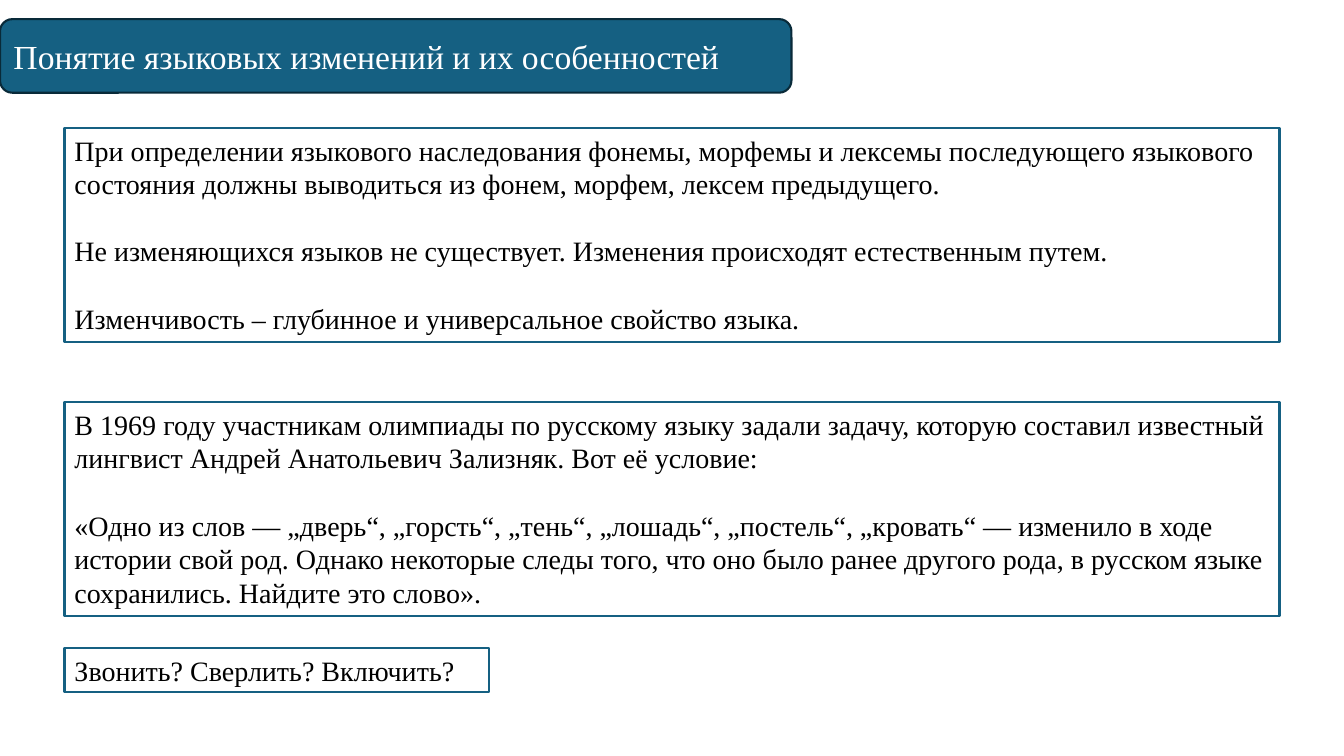
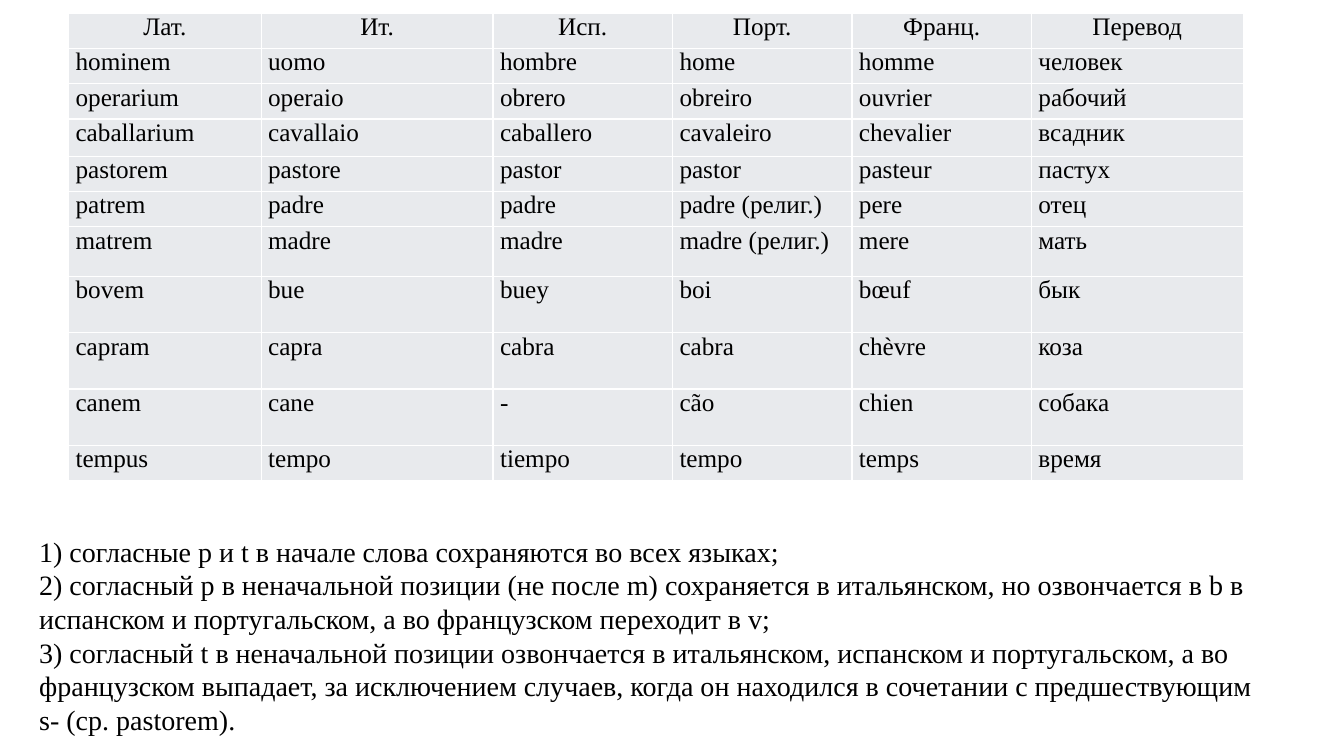
from pptx import Presentation
from pptx.dml.color import RGBColor
from pptx.enum.shapes import MSO_SHAPE as Preset
from pptx.enum.text import MSO_ANCHOR as Anchor, PP_ALIGN as Align
from pptx.util import Pt

PX = 9144  # EMU in one px, 100 px to the inch
FONT = "Times New Roman"
BLACK = RGBColor(0x00, 0x00, 0x00)
WHITE = RGBColor(0xFF, 0xFF, 0xFF)
TEAL = RGBColor(0x15, 0x60, 0x82)
NAVY = RGBColor(0x09, 0x2A, 0x39)
PALE_GREY = RGBColor(0xE8, 0xEA, 0xED)


def write(frame, paragraphs, size=20, color=BLACK, align=Align.LEFT, gap=0):
    """Fill a text frame, leaving gap points between the paragraphs."""
    frame.word_wrap = True
    for index, text in enumerate(paragraphs):
        paragraph = frame.paragraphs[0] if index == 0 else frame.add_paragraph()
        paragraph.text = text
        paragraph.alignment = align
        if index and gap:
            paragraph.space_before = Pt(gap)
        for key, value in {"name": FONT, "size": Pt(size)}.items():
            setattr(paragraph.font, key, value)
        paragraph.font.color.rgb = color


def add_panel(slide, preset, box, fill, outline, anchor):
    """Add an outlined panel and return its text frame."""
    panel = slide.shapes.add_shape(preset, *(length * PX for length in box))
    panel.shadow.inherit = False
    panel.fill.solid()
    panel.fill.fore_color.rgb = fill
    panel.line.color.rgb = outline
    panel.line.width = Pt(1.5)
    panel.text_frame.vertical_anchor = anchor
    return panel.text_frame


deck = Presentation()
deck.slide_width, deck.slide_height = 1333 * PX, 750 * PX
blank = deck.slide_layouts[6]

# Slide 1: language change
change_slide = deck.slides.add_slide(blank)
heading = add_panel(change_slide, Preset.ROUNDED_RECTANGLE, (0, 19, 785, 73),
                    TEAL, NAVY, Anchor.MIDDLE)
write(heading, ["Понятие языковых изменений и их особенностей"], 24, WHITE)

PANEL_LEFT = 64
statements = [
    (127, 1205, 212, [
        "При определении языкового наследования фонемы, морфемы и лексемы "
        "последующего языкового состояния должны выводиться из фонем, морфем, "
        "лексем предыдущего.",
        "Не изменяющихся языков не существует. Изменения происходят "
        "естественным путем.",
        "Изменчивость – глубинное и универсальное свойство языка.",
    ]),
    (399, 1205, 212, [
        "В 1969 году участникам олимпиады по русскому языку задали задачу, "
        "которую составил известный лингвист Андрей Анатольевич Зализняк. "
        "Вот её условие:",
        "«Одно из слов — „дверь“, „горсть“, „тень“, „лошадь“, „постель“, "
        "„кровать“ — изменило в ходе истории свой род. Однако некоторые следы "
        "того, что оно было ранее другого рода, в русском языке сохранились. "
        "Найдите это слово».",
    ]),
    (643, 421, 44, ["Звонить? Сверлить? Включить?"]),
]
for top, width, height, paragraphs in statements:
    statement = add_panel(change_slide, Preset.RECTANGLE,
                          (PANEL_LEFT, top, width, height),
                          WHITE, TEAL, Anchor.TOP)
    write(statement, paragraphs, gap=24)

# Slide 2: Latin words in the Romance languages
romance_slide = deck.slides.add_slide(blank)
words = [
    ("Лат.", "Ит.", "Исп.", "Порт.", "Франц.", "Перевод"),
    ("hominem", "uomo", "hombre", "home", "homme", "человек"),
    ("operarium", "operaio", "obrero", "obreiro", "ouvrier", "рабочий"),
    ("caballarium", "cavallaio", "caballero", "cavaleiro", "chevalier", "всадник"),
    ("pastorem", "pastore", "pastor", "pastor", "pasteur", "пастух"),
    ("patrem", "padre", "padre", "padre (религ.)", "pere", "отец"),
    ("matrem", "madre", "madre", "madre (религ.)", "mere", "мать"),
    ("bovem", "bue", "buey", "boi", "bœuf", "бык"),
    ("capram", "capra", "cabra", "cabra", "chèvre", "коза"),
    ("canem", "cane", "-", "cão", "chien", "собака"),
    ("tempus", "tempo", "tiempo", "tempo", "temps", "время"),
]
column_widths = [191, 230, 178, 178, 178, 210]
row_heights = [35, 35, 35, 37, 35, 35, 49, 56, 56, 56, 35]
cell_margins = {"margin_left": 7 * PX, "margin_right": 7 * PX,
                "margin_top": 0, "margin_bottom": 0}

cognates = romance_slide.shapes.add_table(
    len(words), len(column_widths), 68 * PX, 13 * PX,
    sum(column_widths) * PX, sum(row_heights) * PX).table
cognates.first_row = False
cognates.horz_banding = False
for column, width in zip(cognates.columns, column_widths):
    column.width = width * PX
for row_index, (row, height) in enumerate(zip(cognates.rows, row_heights)):
    row.height = height * PX
    align = Align.LEFT if row_index else Align.CENTER
    for cell, word in zip(row.cells, words[row_index]):
        for key, value in cell_margins.items():
            setattr(cell, key, value)
        cell.fill.solid()
        cell.fill.fore_color.rgb = PALE_GREY
        write(cell.text_frame, [word], 18, align=align)

sound_laws = romance_slide.shapes.add_textbox(29 * PX, 525 * PX, 1244 * PX, 212 * PX)
write(sound_laws.text_frame, [
    "1) согласные p и t в начале слова сохраняются во всех языках;",
    "2) согласный p в неначальной позиции (не после m) сохраняется в "
    "итальянском, но озвончается в b в испанском и португальском, а во "
    "французском переходит в v;",
    "3) согласный t в неначальной позиции озвончается в итальянском, "
    "испанском и португальском, а во французском выпадает, за исключением "
    "случаев, когда он находился в сочетании с предшествующим s- "
    "(ср. pastorem).",
])

deck.save("out.pptx")
